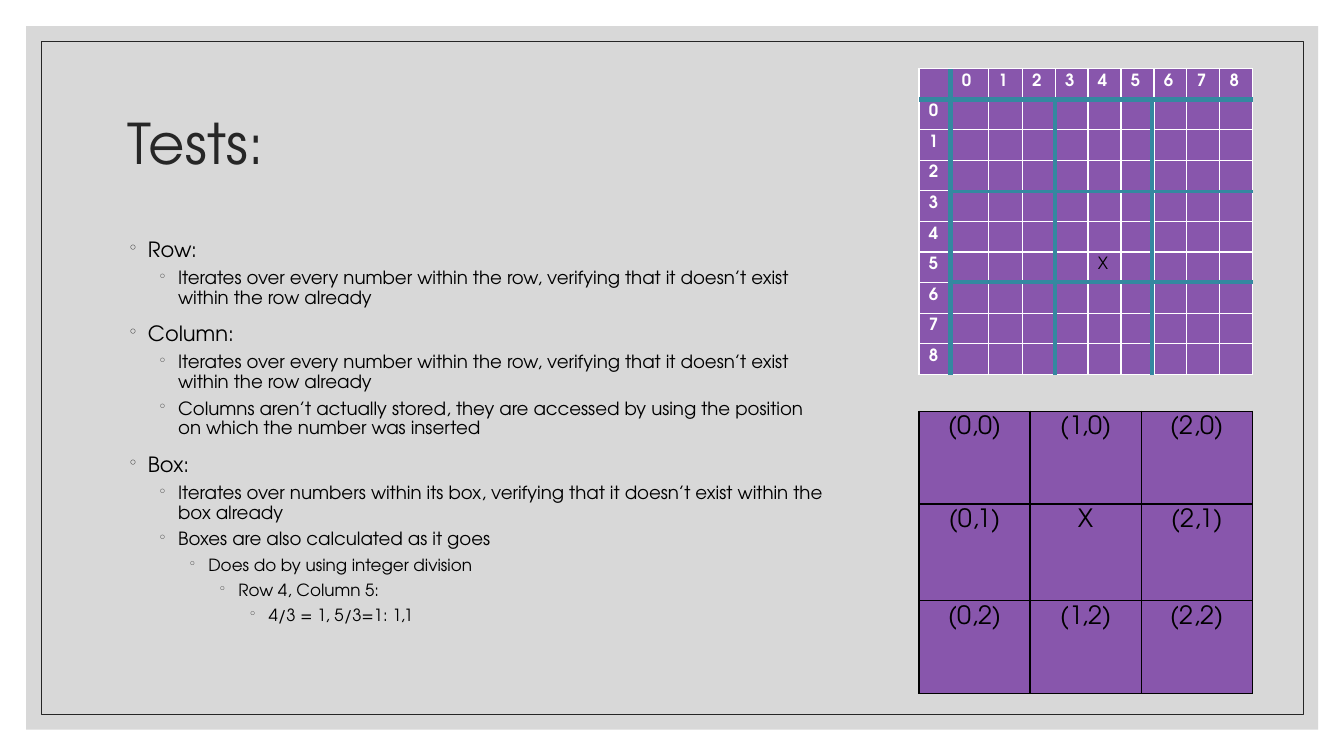
from lxml import etree
from pptx import Presentation
from pptx import util as u
from pptx.dml.color import RGBColor
from pptx.enum import shapes, text
from pptx.oxml import ns

BLACK = RGBColor(0x00, 0x00, 0x00)
WHITE = RGBColor(0xFF, 0xFF, 0xFF)
CHARCOAL = RGBColor(0x26, 0x26, 0x26)
GREY = RGBColor(0xBF, 0xBF, 0xBF)
PURPLE = RGBColor(0x70, 0x30, 0xA0)
TEAL = RGBColor(0x34, 0x88, 0xA0)

ROW_CHECK = ("Iterates over every number within the row, verifying that "
             "it doesn’t exist within the row already")
TESTS = [
    (0, "Row:"),
    (1, ROW_CHECK),
    (0, "Column:"),
    (1, ROW_CHECK),
    (1, "Columns aren’t actually stored, they are accessed by using the "
        "position on which the number was inserted"),
    (0, "Box:"),
    (1, "Iterates over numbers within its box, verifying that it doesn’t "
        "exist within the box already"),
    (1, "Boxes are also calculated as it goes"),
    (2, "Does do by using integer division"),
    (3, "Row 4, Column 5:"),
    (4, "4/3 = 1, 5/3=1: 1,1"),
]
LEVEL_SIZES = [15, 13, 12, 12, 12]


def add_xml(parent, tag, **attributes):
    return etree.SubElement(parent, ns.qn(tag), attributes)


def apply(target, values):
    for name, value in values.items():
        setattr(target, name, value)


def set_alpha(fill_parent, percent):
    """Make the solid fill of an element partly transparent."""
    color = fill_parent.find(ns.qn("a:solidFill"))[0]
    add_xml(color, "a:alpha", val=str(percent * 1000))


class TestsSlide:
    FONT = "TeX Gyre Adventor"

    def __init__(self, prs):
        self.slide = prs.slides.add_slide(prs.slide_layouts[6])

    def run(self, paragraph, words, size, color, bold=False):
        run = paragraph.add_run()
        run.text = words
        apply(run.font, {"name": self.FONT, "size": u.Pt(size), "bold": bold})
        run.font.color.rgb = color

    def rectangle(self, place, fill=None, alpha=100, line=None):
        panel = self.slide.shapes.add_shape(
            shapes.MSO_SHAPE.RECTANGLE, *map(u.Cm, place))
        panel.shadow.inherit = False
        if fill is None:
            panel.fill.background()
        else:
            panel.fill.solid()
            panel.fill.fore_color.rgb = fill
            set_alpha(panel.fill._xPr, alpha)
        if line is None:
            panel.line.fill.background()
        else:
            panel.line.color.rgb = line
            panel.line.width = u.Pt(0.5)

    def text_frame(self, place, anchor):
        frame = self.slide.shapes.add_textbox(*map(u.Cm, place)).text_frame
        apply(frame, {"word_wrap": True, "vertical_anchor": anchor})
        return frame

    def title(self, place, words):
        heading = self.text_frame(place, text.MSO_ANCHOR.MIDDLE).paragraphs[0]
        heading.line_spacing = 0.9
        self.run(heading, words, 40, CHARCOAL)

    def bullets(self, place, items):
        frame = self.text_frame(place, text.MSO_ANCHOR.TOP)
        for index, (level, words) in enumerate(items):
            item = frame.add_paragraph() if index else frame.paragraphs[0]
            apply(item, {
                "level": level,
                "line_spacing": 0.9 if level else 1.0,
                "space_before": u.Pt((5 if level else 9) if index else 0),
            })
            props = item._p.get_or_add_pPr()
            props.set("marL", str(u.Cm(0.51 + 0.76 * level)))
            props.set("indent", str(-u.Cm(0.51)))
            bullet_color = add_xml(props, "a:buClr")
            add_xml(bullet_color, "a:srgbClr", val=str(CHARCOAL))
            add_xml(props, "a:buSzPct", val="65000")
            add_xml(props, "a:buChar", char="◦")
            self.run(item, words, LEVEL_SIZES[level], BLACK)

    def table(self, corner, widths, heights, border, fill_cell):
        """Draw a purple grid; fill_cell(row, column) gives the run's
        arguments and the alignment of a cell."""
        size = (sum(widths), sum(heights))
        grid = self.slide.shapes.add_table(
            len(heights), len(widths), *map(u.Cm, corner + size)).table
        apply(grid, {"first_row": False, "horz_banding": False})
        for column, width in zip(grid.columns, widths):
            column.width = u.Cm(width)
        for row, height in zip(grid.rows, heights):
            row.height = u.Cm(height)
        for r in range(len(heights)):
            for c in range(len(widths)):
                self.cell(grid.cell(r, c), border, *fill_cell(r, c))

    def cell(self, cell, border, words, size, color, bold, align):
        apply(cell, {"margin_left": u.Cm(0.25), "margin_right": u.Cm(0.25),
                     "margin_top": u.Cm(0.13), "margin_bottom": u.Cm(0.05)})
        props = cell._tc.get_or_add_tcPr()
        for side in "LRTB":
            edge = add_xml(props, "a:ln" + side, w=str(u.Pt(1)))
            add_xml(add_xml(edge, "a:solidFill"), "a:srgbClr", val=str(border))
        cell.fill.solid()
        cell.fill.fore_color.rgb = PURPLE
        set_alpha(props, 77)
        paragraph = cell.text_frame.paragraphs[0]
        paragraph.alignment = align
        if words:
            self.run(paragraph, words, size, color, bold)
        else:
            end = add_xml(paragraph._p, "a:endParaRPr", sz=str(size * 100))
            add_xml(end, "a:latin", typeface=self.FONT)

    def line(self, ends, width):
        rule = self.slide.shapes.add_connector(
            shapes.MSO_CONNECTOR.STRAIGHT, *map(u.Cm, ends))
        rule.line.color.rgb = TEAL
        rule.line.width = u.Pt(width)
        add_xml(rule._element.spPr, "a:effectLst")


def sudoku_cell(row, column):
    """Number the first row and column, and mark row 5, column 4."""
    left = text.PP_ALIGN.LEFT
    if (row, column) == (6, 5):
        return "X", 12, BLACK, False, left
    is_header = (row == 0) != (column == 0)
    return str(row + column - 1) if is_header else "", 12, WHITE, True, left


def box_cell(row, column):
    words = "X" if row == column == 1 else f"({column},{row})"
    return words, 18, BLACK, False, text.PP_ALIGN.CENTER


def main():
    prs = Presentation()
    prs.slide_width, prs.slide_height = u.Cm(33.87), u.Cm(19.05)
    tests = TestsSlide(prs)
    tests.rectangle((0.66, 0.66, 32.56, 17.73), fill=GREY, alpha=60)
    tests.rectangle((1.04, 1.04, 31.8, 16.97), line=CHARCOAL)
    tests.title((2.97, 1.78, 27.94, 3.81), "Tests:")
    tests.bullets((2.97, 5.84, 18.21, 10.69), TESTS)

    left, right, top, bottom = 23.16, 31.57, 1.73, 9.45
    tests.table((left, 10.36), [2.8] * 3, [2.34, 2.44, 2.34], BLACK, box_cell)
    tests.table((left, top), [0.83, 0.92, 0.85] + [0.83] * 7, [0.77] * 10,
                WHITE, sudoku_cell)

    header_x, header_y = 23.95, 2.51
    tests.line((right, header_y, left, header_y), 3.5)
    tests.line((header_x, bottom, header_x, top), 3.5)
    for x in (26.59, 29.03):
        tests.line((x, bottom, x, header_y), 2.5)
    for y in (4.83, 7.11):
        tests.line((header_x, y, right, y), 2.5)
    prs.save("out.pptx")


if __name__ == "__main__":
    main()
